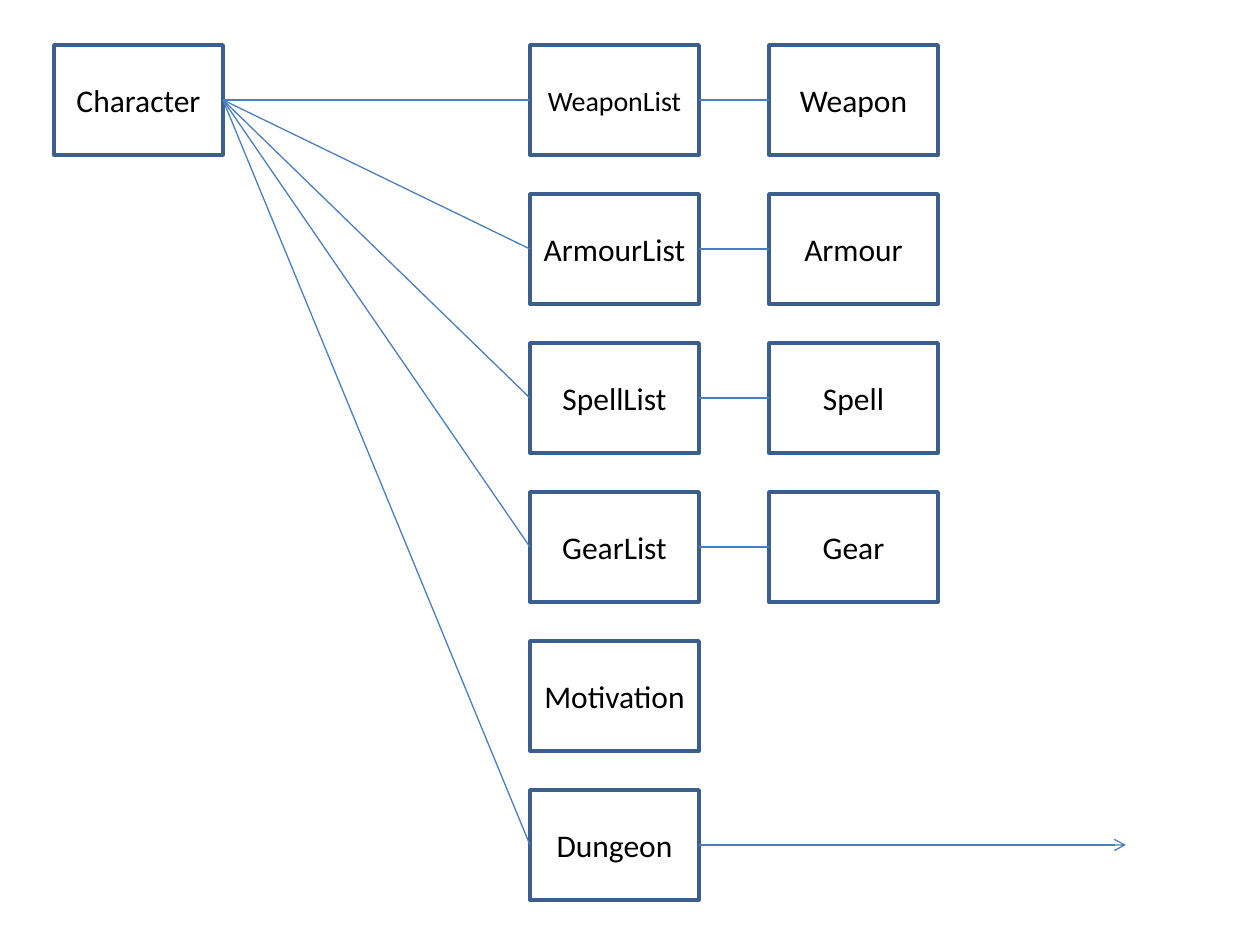
from dataclasses import dataclass

from lxml.etree import SubElement
from pptx import Presentation
from pptx.dml.color import RGBColor as Rgb
from pptx.enum.shapes import MSO_CONNECTOR as Connector, MSO_SHAPE as Shape
from pptx.enum.text import MSO_ANCHOR as Anchor, PP_ALIGN as Align
from pptx.oxml.ns import qn
from pptx.util import Pt

PIXEL = 914400 // 126
LEFT_SITE, RIGHT_SITE = 1, 3


@dataclass(frozen=True)
class Theme:
    font: str = "Calibri"
    paper: Rgb = Rgb(0xFF, 0xFF, 0xFF)
    ink: Rgb = Rgb(0, 0, 0)
    border: Rgb = Rgb(0x3A, 0x5F, 0x8C)
    link: Rgb = Rgb(0x4B, 0x7E, 0xBC)
    border_width: float = 2
    link_width: float = 0.75
    label: int = 18
    small_label: int = 16


def apply(target, values):
    for name, value in values.items():
        setattr(target, name, value)


class Diagram:
    def __init__(self, slide, theme):
        self.slide = slide
        self.theme = theme

    def stroke(self, line, color, width):
        line.color.rgb = color
        line.width = Pt(width)

    def box(self, label, left, top, width, height, size):
        theme = self.theme
        box = self.slide.shapes.add_shape(
            Shape.RECTANGLE, *(n * PIXEL for n in (left, top, width, height)))
        box.shadow.inherit = False
        box.fill.solid()
        box.fill.fore_color.rgb = theme.paper
        self.stroke(box.line, theme.border, theme.border_width)
        frame = box.text_frame
        apply(frame, {"text": label, "word_wrap": True,
                      "vertical_anchor": Anchor.MIDDLE})
        paragraph = frame.paragraphs[0]
        paragraph.alignment = Align.CENTER
        font = paragraph.runs[0].font
        apply(font, {"name": theme.font, "size": Pt(size)})
        font.color.rgb = theme.ink
        return box

    def link(self, source, target=None, end=(0, 0), arrow=False):
        line = self.slide.shapes.add_connector(
            Connector.STRAIGHT, 0, 0, *(n * PIXEL for n in end))
        line.begin_connect(source, RIGHT_SITE)
        if target is not None:
            line.end_connect(target, LEFT_SITE)
        self.stroke(line.line, self.theme.link, self.theme.link_width)
        if arrow:
            SubElement(line.line._get_or_add_ln(), qn("a:tailEnd"), type="arrow")
        SubElement(line._element.spPr, qn("a:effectLst"))


BOX_WIDTH, BOX_HEIGHT = 169, 110
TOP, ROW_STEP = 45, 149
OWNER_LEFT, PART_LEFT, ITEM_LEFT = 54, 530, 769
ARROW_END = 1126

theme = Theme()
presentation = Presentation()
apply(presentation, {"slide_width": 1260 * PIXEL, "slide_height": 945 * PIXEL})
diagram = Diagram(
    presentation.slides.add_slide(presentation.slide_layouts[6]), theme)


def place(label, left, row, size=theme.label):
    return diagram.box(label, left, TOP + row * ROW_STEP,
                       BOX_WIDTH, BOX_HEIGHT, size)


PARTS = [
    ("WeaponList", "Weapon", theme.small_label),
    ("ArmourList", "Armour", theme.label),
    ("SpellList", "Spell", theme.label),
    ("GearList", "Gear", theme.label),
    ("Motivation", None, theme.label),
    ("Dungeon", None, theme.label),
]

character = place("Character", OWNER_LEFT, 0)
for row, (part_name, item_name, size) in enumerate(PARTS):
    part = place(part_name, PART_LEFT, row, size)
    if part_name != "Motivation":
        diagram.link(character, part)
    if item_name:
        diagram.link(part, place(item_name, ITEM_LEFT, row))

dungeon_middle = TOP + (len(PARTS) - 1) * ROW_STEP + BOX_HEIGHT // 2
diagram.link(part, end=(ARROW_END, dungeon_middle), arrow=True)

presentation.save("out.pptx")
